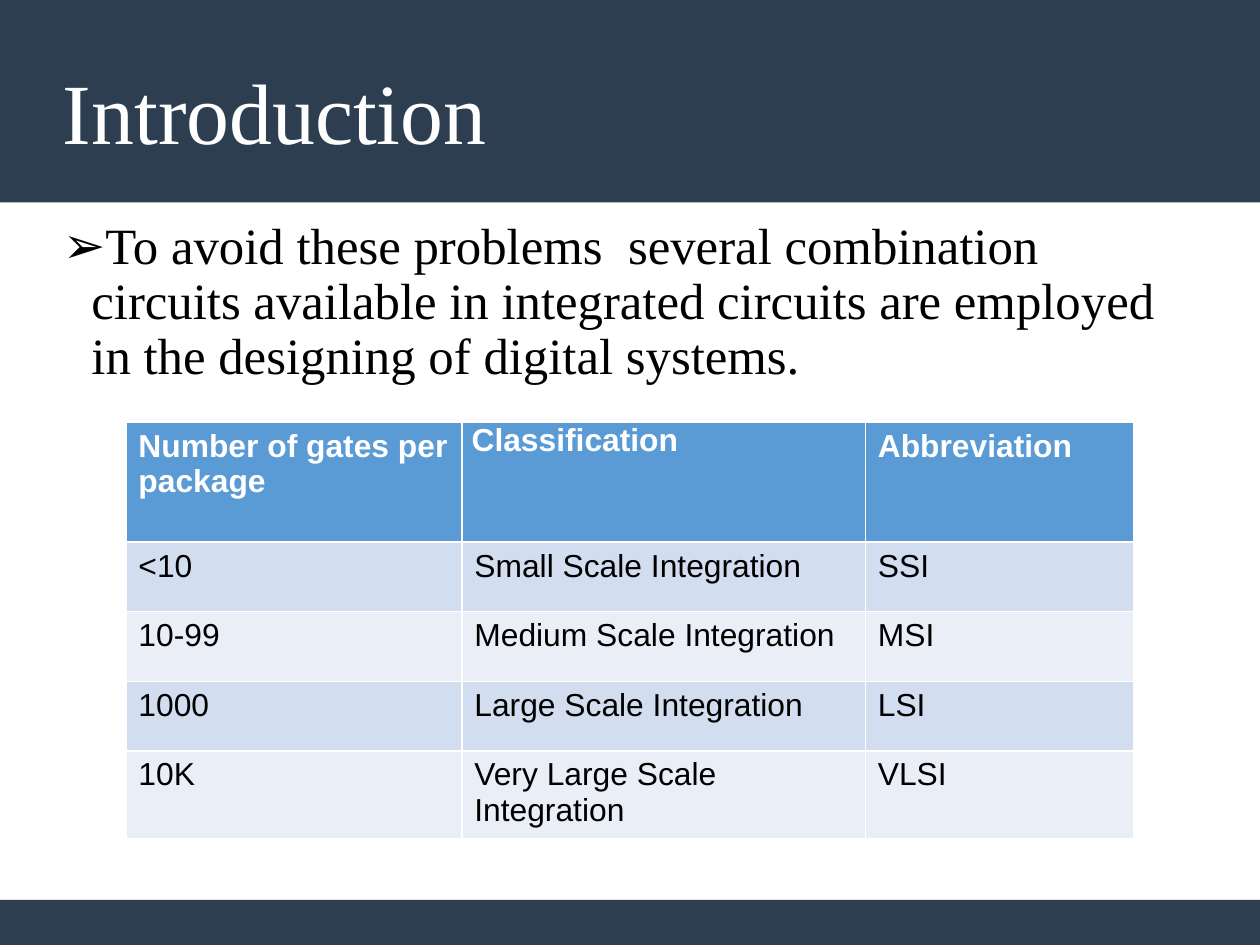
from lxml.etree import SubElement
from pptx import Presentation
from pptx.dml.color import RGBColor
from pptx.enum.shapes import MSO_SHAPE
from pptx.enum.text import MSO_ANCHOR, MSO_AUTO_SIZE, PP_ALIGN
from pptx.oxml.ns import qn
from pptx.util import Pt

SLIDE_WIDTH, SLIDE_HEIGHT = 793.75, 595.25
HEADER_HEIGHT, FOOTER_HEIGHT = 127.5, 28.5

NAVY = RGBColor(0x2C, 0x3E, 0x50)
WHITE = RGBColor(0xFF, 0xFF, 0xFF)
BLACK = RGBColor(0, 0, 0)
TABLE_BLUE = RGBColor(0x5B, 0x9B, 0xD5)
ROW_COLORS = [RGBColor(0xD2, 0xDE, 0xEF), RGBColor(0xEA, 0xEF, 0xF7)]

TITLE_FONT = {"name": "Times New Roman", "size": Pt(54), "bold": False}
BODY_FONT = {"name": "Times New Roman", "size": Pt(32), "bold": False}
TABLE_FONT = {"name": "Arial", "size": Pt(20)}

STATEMENT = (
    "To avoid these problems  several combination circuits available in "
    "integrated circuits are employed in the designing of digital systems."
)
GATE_ROWS = [
    ("Number of gates per package", "Classification", "Abbreviation"),
    ("<10", "Small Scale Integration", "SSI"),
    ("10-99", "Medium Scale Integration", "MSI"),
    ("1000", "Large Scale Integration", "LSI"),
    ("10K", "Very Large Scale Integration", "VLSI"),
]
COLUMN_WIDTHS = [211.6, 254.2, 169.2]
ROW_HEIGHTS = [75.5, 43.85, 43.85, 43.85, 55.3]


def apply_format(target, values):
    for name, value in values.items():
        setattr(target, name, value)


def set_font(paragraph, values, color):
    apply_format(paragraph.font, values)
    paragraph.font.color.rgb = color


def place(shape, box):
    names = ("left", "top", "width", "height")
    apply_format(shape, dict(zip(names, map(Pt, box))))


def add_band(slide, box):
    """Add a navy band behind the placeholders."""
    band = slide.shapes.add_shape(MSO_SHAPE.RECTANGLE, *map(Pt, box))
    band.shadow.inherit = False
    band.fill.solid()
    band.fill.fore_color.rgb = NAVY
    band.line.fill.background()
    slide.shapes._spTree.insert(2, band._element)


def fill_placeholder(placeholder, box, text, anchor):
    """Place a placeholder without margins and return its paragraph."""
    place(placeholder, box)
    frame = placeholder.text_frame
    frame.text = text
    apply_format(frame, {
        "margin_left": 0, "margin_right": 0, "margin_top": 0, "margin_bottom": 0,
        "word_wrap": True, "auto_size": MSO_AUTO_SIZE.NONE, "vertical_anchor": anchor,
    })
    paragraph = frame.paragraphs[0]
    apply_format(paragraph, {
        "alignment": PP_ALIGN.LEFT, "line_spacing": 0.9, "space_before": Pt(0),
    })
    return paragraph


def add_title(slide, box):
    paragraph = fill_placeholder(slide.shapes.title, box, "Introduction", MSO_ANCHOR.MIDDLE)
    set_font(paragraph, TITLE_FONT, WHITE)


def add_statement(slide, box):
    paragraph = fill_placeholder(slide.placeholders[1], box, STATEMENT, MSO_ANCHOR.TOP)
    properties = paragraph._p.get_or_add_pPr()
    properties.set("marL", str(Pt(18)))
    properties.set("indent", str(Pt(-18)))
    SubElement(properties, qn("a:buFont"), typeface="Arial")
    SubElement(properties, qn("a:buChar"), char="➢")
    set_font(paragraph, BODY_FONT, BLACK)


def add_cell_borders(cell):
    properties = cell._tc.get_or_add_tcPr()
    for side in ("a:lnL", "a:lnR", "a:lnT", "a:lnB"):
        line = SubElement(properties, qn(side), w=str(Pt(1)))
        fill = SubElement(line, qn("a:solidFill"))
        SubElement(fill, qn("a:srgbClr"), val=str(WHITE))


def format_cell(cell, text, is_header, fill_color, margins):
    side, end = margins
    apply_format(cell, {
        "text": text, "vertical_anchor": MSO_ANCHOR.TOP,
        "margin_left": Pt(side), "margin_right": Pt(side),
        "margin_top": Pt(end), "margin_bottom": Pt(end),
    })
    add_cell_borders(cell)
    cell.fill.solid()
    cell.fill.fore_color.rgb = fill_color
    set_font(cell.text_frame.paragraphs[0], {**TABLE_FONT, "bold": is_header},
             WHITE if is_header else BLACK)


def add_gate_table(slide, left, top):
    box = (left, top, sum(COLUMN_WIDTHS), sum(ROW_HEIGHTS))
    table = slide.shapes.add_table(
        len(GATE_ROWS), len(COLUMN_WIDTHS), *map(Pt, box)).table
    table.horz_banding = False
    for column, width in zip(table.columns, COLUMN_WIDTHS):
        column.width = Pt(width)
    for row_index, texts in enumerate(GATE_ROWS):
        table.rows[row_index].height = Pt(ROW_HEIGHTS[row_index])
        is_header = row_index == 0
        fill_color = TABLE_BLUE if is_header else ROW_COLORS[(row_index - 1) % 2]
        for column_index, text in enumerate(texts):
            margins = (6, 0) if text == "Classification" else (7.75, 4)
            format_cell(table.cell(row_index, column_index), text,
                        is_header, fill_color, margins)


def main():
    presentation = Presentation()
    presentation.slide_width = Pt(SLIDE_WIDTH)
    presentation.slide_height = Pt(SLIDE_HEIGHT)
    slide = presentation.slides.add_slide(presentation.slide_layouts[1])
    add_band(slide, (0, 0, SLIDE_WIDTH, HEADER_HEIGHT))
    add_band(slide, (0, SLIDE_HEIGHT - FOOTER_HEIGHT, SLIDE_WIDTH, FOOTER_HEIGHT))
    add_title(slide, (39.6, 23.75, 714.25, 99.25))
    add_statement(slide, (39.6, 139.25, 714.25, 345))
    add_gate_table(slide, 79.5, 266)
    presentation.save("out.pptx")


if __name__ == "__main__":
    main()
